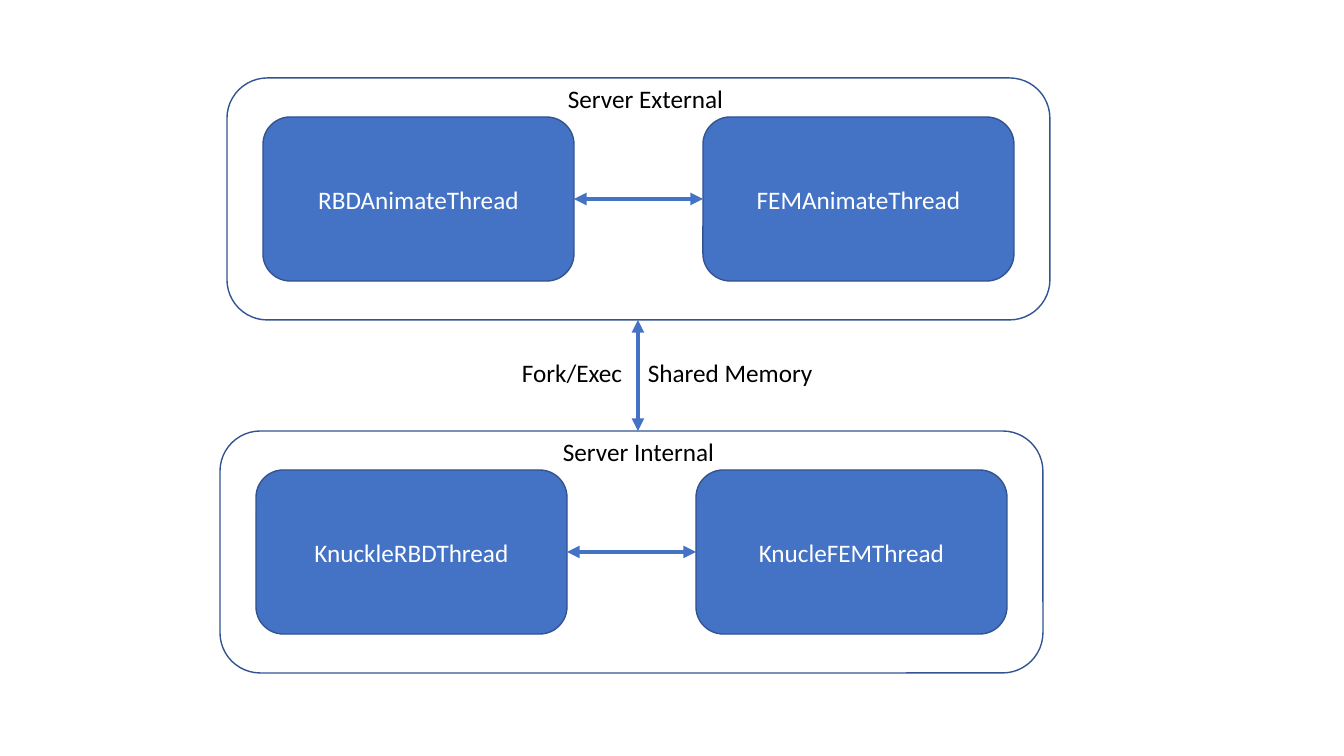
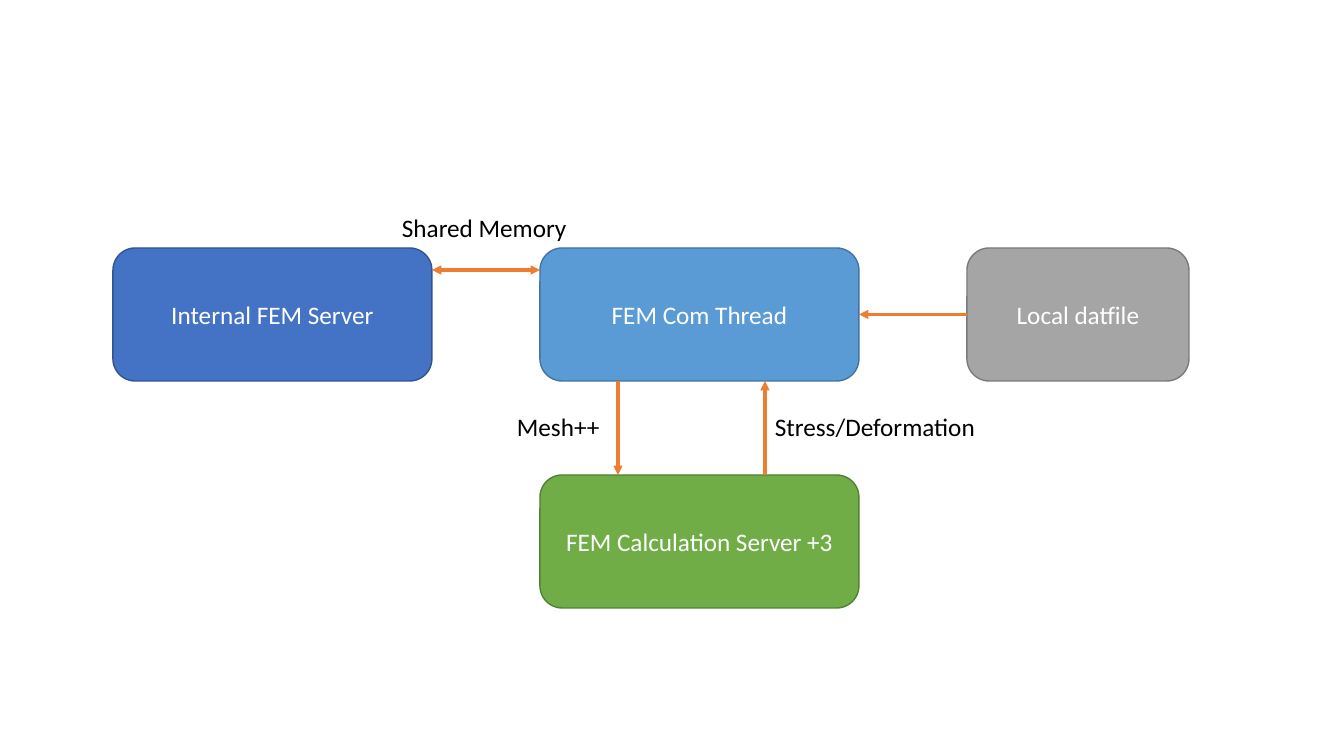
from pptx import Presentation
from pptx.dml.color import RGBColor
from pptx.enum.shapes import MSO_CONNECTOR, MSO_SHAPE
from pptx.enum.text import MSO_ANCHOR, PP_ALIGN
from pptx.oxml.ns import qn
from pptx.util import Pt
from lxml.etree import SubElement

WIDE, HIGH = 1344, 756
PX = 914400 / 100.8
FONT, SIZE = "Calibri", 18
HEX = {
    "blue": "4472C4", "navy": "325491",
    "sky": "5B9BD5", "steel": "43739E",
    "green": "70AD47", "moss": "538035",
    "gray": "A5A5A5", "slate": "7A7A7A",
    "orange": "ED7D31", "white": "FFFFFF", "black": "000000",
}
LEFT, MID, RIGHT = PP_ALIGN.LEFT, PP_ALIGN.CENTER, PP_ALIGN.RIGHT
SITE_LEFT, SITE_RIGHT = 1, 3

FRAME = (823, 242)
THREAD = (311, 164)
INSET = (36, 39)
LABEL = (265, 40)
SERVERS = [
    ("Server Internal", (220, 431), ["KnuckleRBDThread", "KnucleFEMThread"]),
    ("Server External", (227, 78), ["RBDAnimateThread", "FEMAnimateThread"]),
]
BRIDGE_X = 638
BRIDGE_LABELS = [("Fork/Exec", -271, RIGHT), ("Shared Memory", 0, LEFT)]
BRIDGE_TOP = 352

NODE_H = 133
ROW_1, ROW_2 = 248, 475
NODES = {
    "server": ("Internal FEM Server", 113, ROW_1, 319, "blue", "navy"),
    "calc": ("FEM Calculation Server +3", 540, ROW_2, 319, "green", "moss"),
    "com": ("FEM Com Thread", 540, ROW_1, 319, "sky", "steel"),
    "file": ("Local datfile", 967, ROW_1, 222, "gray", "slate"),
}
FLOWS = [
    ((618, ROW_1 + NODE_H), (618, ROW_2), False),
    ((765, ROW_2), (765, ROW_1 + NODE_H), False),
    ((432, 270), (540, 270), True),
]
NOTES = [
    ("Mesh++", 507, 406, 104),
    ("Stress/Deformation", 765, 406, 223),
    ("Shared Memory", 392, 207, 186),
]


def emu(*vals):
    return [round(v * PX) for v in vals]


def rgb(name):
    return RGBColor.from_string(HEX[name])


def write(shape, text, color, align):
    shape.text_frame.text = text
    para = shape.text_frame.paragraphs[0]
    para.alignment = align
    font = para.runs[0].font
    font.name, font.size = FONT, Pt(SIZE)
    font.color.rgb = rgb(color)


def box(shapes, area, edge, fill=None, text=None):
    shape = shapes.add_shape(MSO_SHAPE.ROUNDED_RECTANGLE, *emu(*area))
    shape.shadow.inherit = False
    shape.line.color.rgb = rgb(edge)
    shape.line.width = Pt(1)
    if fill:
        shape.fill.solid()
        shape.fill.fore_color.rgb = rgb(fill)
    else:
        shape.fill.background()
    if text:
        shape.text_frame.vertical_anchor = MSO_ANCHOR.MIDDLE
        write(shape, text, "white", MID)
    return shape


def label(shapes, text, area, align=LEFT, wrap=True):
    shape = shapes.add_textbox(*emu(*area))
    shape.text_frame.word_wrap = wrap
    write(shape, text, "black", align)


def arrow(shapes, start, end, color, width, both=False):
    link = shapes.add_connector(MSO_CONNECTOR.STRAIGHT, *emu(*start, *end))
    link.line.color.rgb = rgb(color)
    link.line.width = Pt(width)
    line = link.line._get_or_add_ln()
    for tag in ("a:headEnd", "a:tailEnd") if both else ("a:tailEnd",):
        SubElement(line, qn(tag)).set("type", "triangle")
    SubElement(link._element.spPr, qn("a:effectLst"))
    return link


def join(shapes, first, site_1, last, site_2, color, width, both=False):
    link = arrow(shapes, (0, 0), (0, 0), color, width, both)
    link.begin_connect(first, site_1)
    link.end_connect(last, site_2)


def draw_server(shapes, name, spot, threads):
    x, y = spot
    group = shapes.add_group_shape().shapes
    span = FRAME[0] - 2 * INSET[0] - THREAD[0]
    step = span / (len(threads) - 1)
    boxes = [
        box(group, (x + INSET[0] + i * step, y + INSET[1], *THREAD),
            "navy", "blue", text)
        for i, text in enumerate(threads)
    ]
    box(group, (*spot, *FRAME), "navy")
    label(shapes, name, (x + 286, y, *LABEL), MID)
    for one, two in zip(boxes, boxes[1:]):
        join(shapes, one, SITE_RIGHT, two, SITE_LEFT, "blue", 3, True)


def draw_threads(shapes):
    for server in SERVERS:
        draw_server(shapes, *server)
    for text, shift, align in BRIDGE_LABELS:
        label(shapes, text, (BRIDGE_X + shift, BRIDGE_TOP, *LABEL), align)
    low, high = (spot[1] for _, spot, _ in SERVERS)
    arrow(shapes, (BRIDGE_X, high + FRAME[1]), (BRIDGE_X, low),
          "blue", 3, True)


def draw_flow(shapes):
    made = {
        key: box(shapes, (x, y, w, NODE_H), edge, fill, text)
        for key, (text, x, y, w, fill, edge) in NODES.items()
    }
    for start, end, both in FLOWS:
        arrow(shapes, start, end, "orange", 2.25, both)
    join(shapes, made["file"], SITE_LEFT, made["com"], SITE_RIGHT,
         "orange", 2.25)
    for text, x, y, w in NOTES:
        label(shapes, text, (x, y, w, LABEL[1]), wrap=False)


def main():
    deck = Presentation()
    deck.slide_width, deck.slide_height = emu(WIDE, HIGH)
    blank = deck.slide_layouts[6]
    for draw in (draw_threads, draw_flow):
        draw(deck.slides.add_slide(blank).shapes)
    deck.save("out.pptx")


if __name__ == "__main__":
    main()
